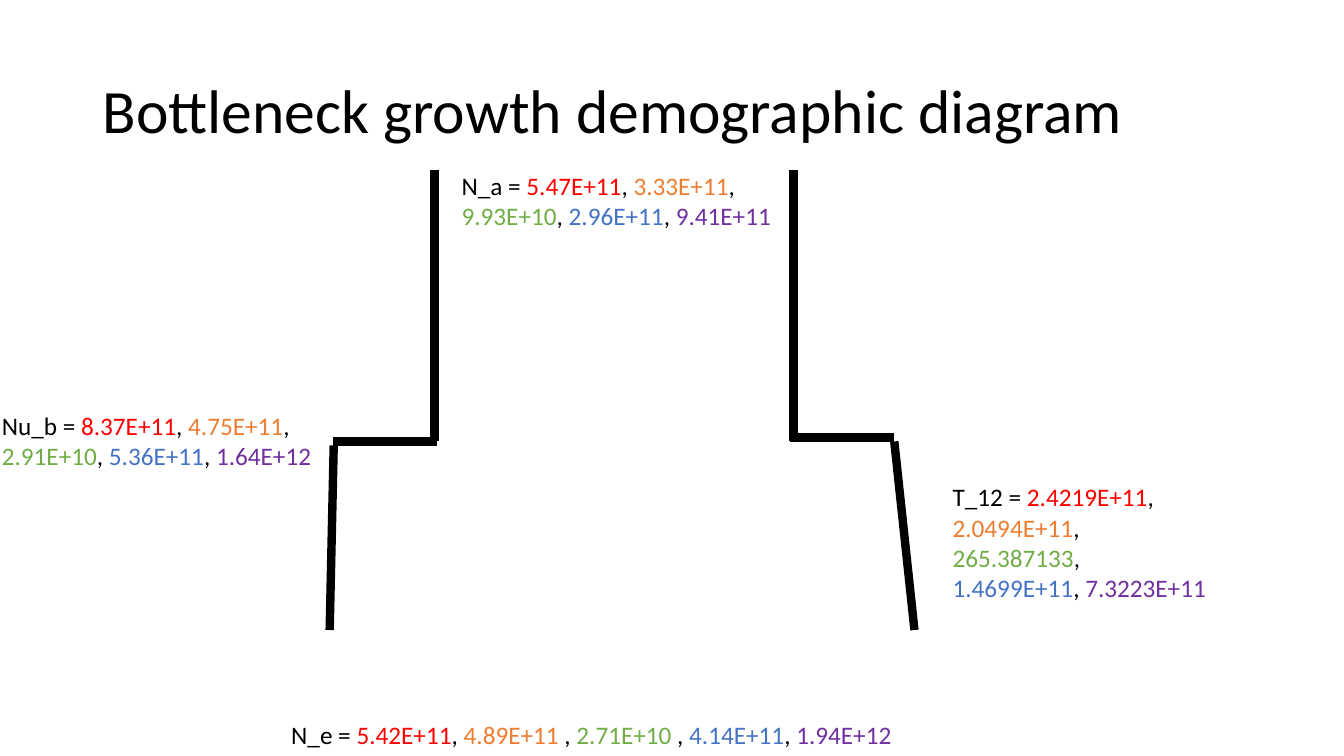
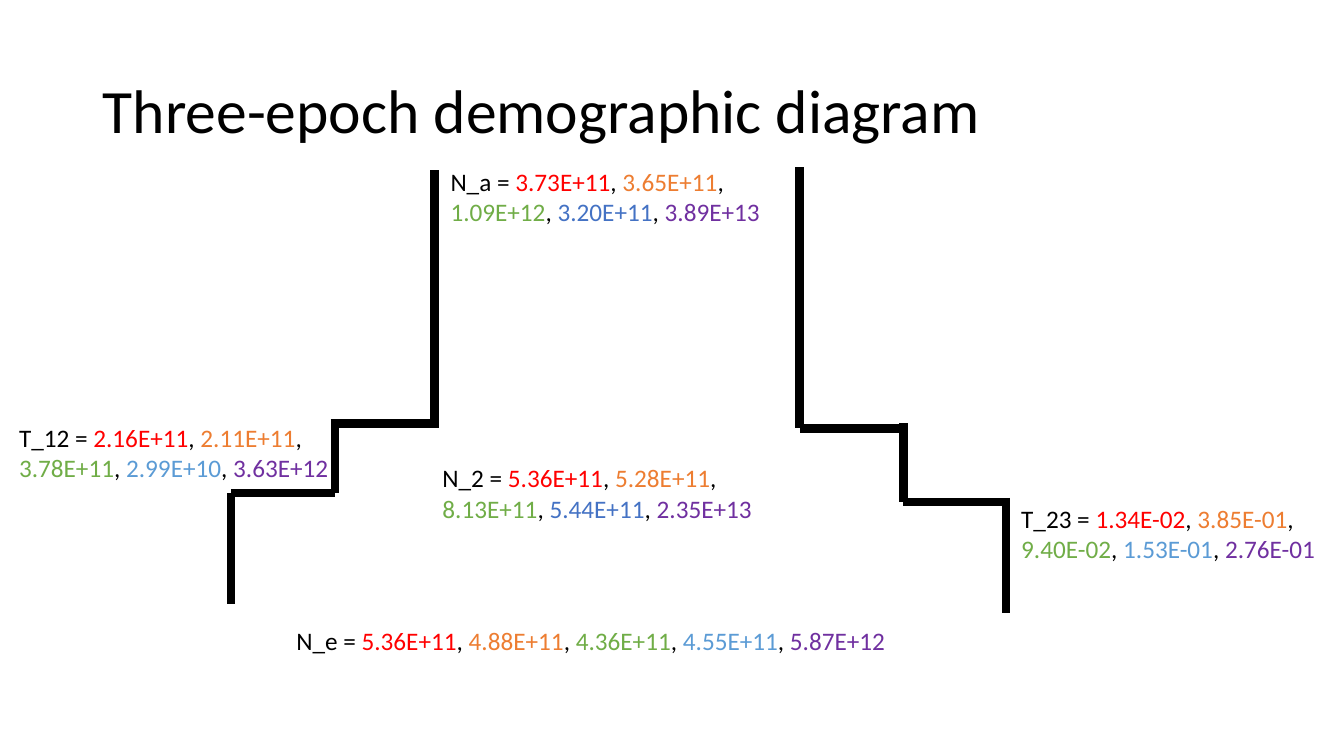
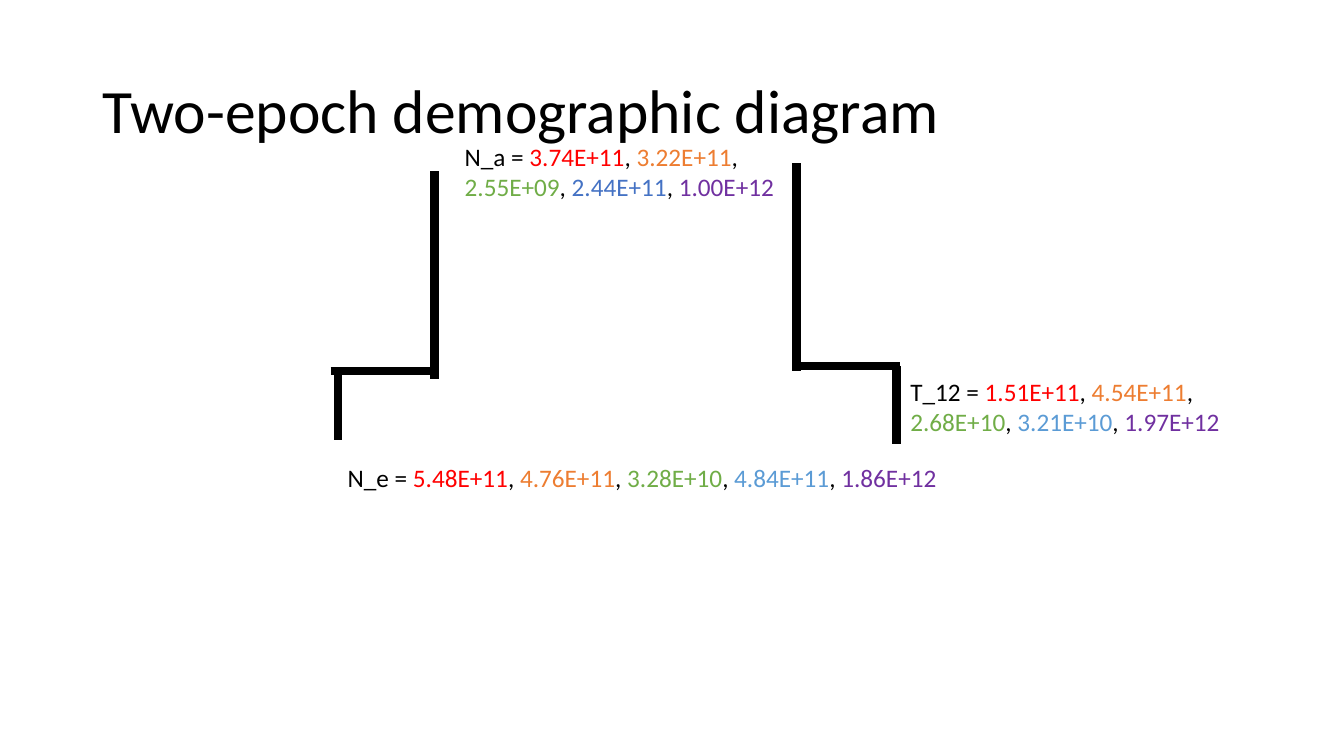
from pptx import Presentation
from pptx.dml.color import RGBColor
from pptx.enum.shapes import MSO_CONNECTOR as CONN
from pptx.enum.text import MSO_ANCHOR, MSO_AUTO_SIZE as AUTO, PP_ALIGN
from pptx.oxml.ns import qn
from pptx.util import Inches, Pt

COLORS = {"black": "000000", "red": "FF0000", "orange": "ED7D31", "green": "70AD47",
          "blue": "4472C4", "sky": "5B9BD5", "purple": "7030A0"}
FONT = "Calibri"
TITLE_BOX = (0.92, 0.4, 11.5, 1.45)
STEP = 1.03
LINE_H, PAD_H = 0.3, 0.1

# walls: x, y, dx, dy; labels: name, rows of values, fourth colour, left, top, width, lines, wrap
SLIDES = [
    {"title": "Bottleneck growth demographic diagram",
     "walls": [(4.31, 1.69, 0, 2.69), (7.87, 1.69, 0, 2.69),
               (3.3, 4.38, STEP, 0), (7.84, 4.34, STEP, 0),
               (3.31, 4.42, -0.04, 1.83), (8.87, 4.38, 0.2, 1.87)],
     "labels": [
         ("N_e", [["5.42E+11", "4.89E+11 ", "2.71E+10 ", "4.14E+11", "1.94E+12"]],
          "blue", 2.79, 7.09, 6.28, 1, False),
         ("T_12", [["2.4219E+11", "2.0494E+11", "265.387133"], ["1.4699E+11", "7.3223E+11"]],
          "blue", 9.35, 4.73, 2.76, 4, True),
         ("Nu_b", [["8.37E+11", "4.75E+11"], ["2.91E+10", "5.36E+11", "1.64E+12"]],
          "blue", -0.08, 4.02, 3.36, 2, False),
         ("N_a", [["5.47E+11", "3.33E+11"], ["9.93E+10", "2.96E+11", "9.41E+11"]],
          "blue", 4.48, 1.64, 3.36, 2, False)]},
    {"title": "Three-epoch demographic diagram",
     "walls": [(4.31, 1.69, 0, 2.56), (7.93, 1.66, 0, 2.59),
               (3.28, 4.2, STEP, 0), (7.93, 4.25, STEP, 0),
               (3.32, 4.2, 0, 0.69), (8.96, 4.2, 0, 0.78),
               (2.29, 4.89, STEP, 0), (8.96, 4.98, STEP, 0),
               (2.29, 4.89, 0, 1.1), (9.98, 4.94, 0, 1.14)],
     "labels": [
         ("N_e", [["5.36E+11", "4.88E+11", "4.36E+11", "4.55E+11", "5.87E+12"]],
          "sky", 2.84, 6.15, 6.39, 1, False),
         ("N_a", [["3.73E+11", "3.65E+11", "1.09E+12", "3.20E+11", "3.89E+13"]],
          "blue", 4.37, 1.6, 3.33, 2, True),
         ("N_2", [["5.36E+11", "5.28E+11", "8.13E+11", "5.44E+11", "2.35E+13"]],
          "blue", 4.29, 4.54, 3.6, 2, True),
         ("T_12", [["2.16E+11", "2.11E+11", "3.78E+11", "2.99E+10", "3.63E+12"]],
          "sky", 0.09, 4.14, 3.81, 2, True),
         ("T_23", [["1.34E-02", "3.85E-01", "9.40E-02", "1.53E-01", "2.76E-01"]],
          "sky", 10.03, 4.94, 3.12, 2, True)]},
    {"title": "Two-epoch demographic diagram",
     "walls": [(4.31, 1.7, 0, 2.06), (7.9, 1.62, 0, 2.06),
               (3.28, 3.68, STEP, 0), (7.9, 3.63, STEP, 0),
               (3.35, 3.68, 0, 0.69), (8.89, 3.63, 0, 0.77)],
     "labels": [
         ("N_a", [["3.74E+11", "3.22E+11", "2.55E+09", "2.44E+11", "1.00E+12"]],
          "blue", 4.51, 1.35, 3.39, 2, True),
         ("T_12", [["1.51E+11", "4.54E+11", "2.68E+10", "3.21E+10", "1.97E+12"]],
          "sky", 8.93, 3.68, 3.38, 2, True),
         ("N_e", [["5.48E+11", "4.76E+11", "3.28E+10", "4.84E+11", "1.86E+12"]],
          "sky", 3.35, 4.54, 6.67, 1, True)]},
]


def rgb(name):
    return RGBColor.from_string(COLORS[name])


def add_run(p, text, color, size=18):
    r = p.add_run()
    r.text = text
    r.font.name, r.font.size = FONT, Pt(size)
    r.font.color.rgb = rgb(color)


def set_title(s, text):
    sp = s.shapes.title
    for key, value in zip(("left", "top", "width", "height"), TITLE_BOX):
        setattr(sp, key, Inches(value))
    tf = sp.text_frame
    for key, value in {"vertical_anchor": MSO_ANCHOR.MIDDLE, "word_wrap": True,
                       "auto_size": AUTO.NONE}.items():
        setattr(tf, key, value)
    p = tf.paragraphs[0]
    p.alignment, p.line_spacing = PP_ALIGN.LEFT, 0.9
    add_run(p, text, "black", 44)


def add_wall(s, x, y, dx, dy):
    ends = [Inches(v) for v in (x, y, x + dx, y + dy)]
    wall = s.shapes.add_connector(CONN.STRAIGHT, *ends)
    wall.line.color.rgb, wall.line.width = rgb("black"), Pt(6)
    sp_pr = wall._element.spPr
    sp_pr.append(sp_pr.makeelement(qn("a:effectLst"), {}))


def add_label(s, name, rows, fourth, left, top, width, lines, wrap):
    box = (left, top, width, lines * LINE_H + PAD_H)
    tf = s.shapes.add_textbox(*map(Inches, box)).text_frame
    tf.word_wrap, tf.auto_size = wrap, AUTO.SHAPE_TO_FIT_TEXT
    colors = iter(("red", "orange", "green", fourth, "purple"))
    for i, row in enumerate(rows):
        p = tf.add_paragraph() if i else tf.paragraphs[0]
        if i == 0:
            add_run(p, f"{name} = ", "black")
        for j, value in enumerate(row):
            add_run(p, value, next(colors))
            if j < len(row) - 1:
                add_run(p, ", ", "black")
            elif i < len(rows) - 1:
                add_run(p, ",", "black")


def main():
    """Build the three demographic diagrams."""
    prs = Presentation()
    prs.slide_width, prs.slide_height = Inches(13.33), Inches(7.5)
    for content in SLIDES:
        s = prs.slides.add_slide(prs.slide_layouts[5])
        set_title(s, content["title"])
        for wall in content["walls"]:
            add_wall(s, *wall)
        for label in content["labels"]:
            add_label(s, *label)
    prs.save("out.pptx")


if __name__ == "__main__":
    main()
